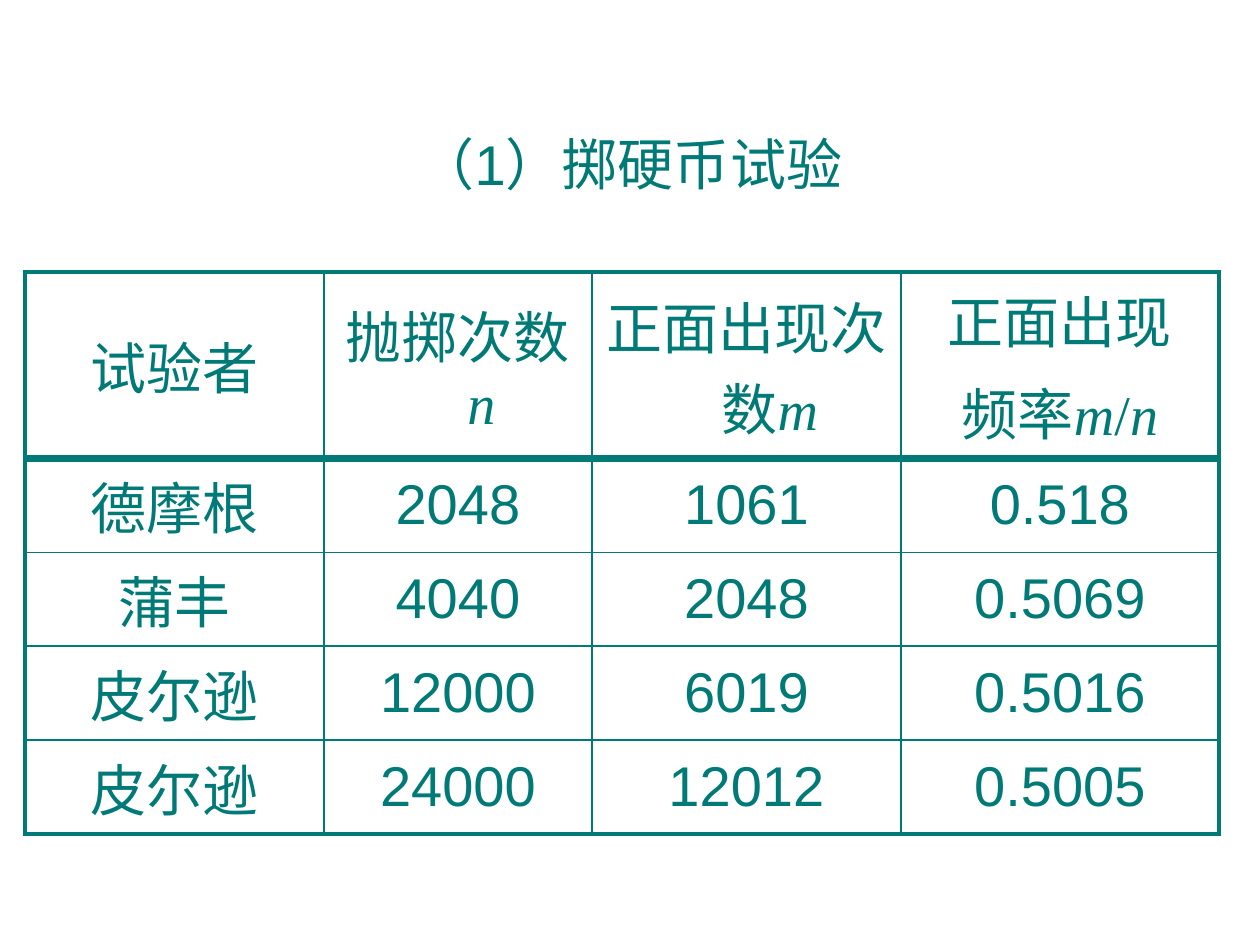
from dataclasses import dataclass

from lxml.etree import SubElement
from pptx import Presentation
from pptx.dml.color import RGBColor
from pptx.enum.text import MSO_ANCHOR as Anchor, PP_ALIGN as Align
from pptx.oxml.ns import qn
from pptx.util import Emu, Pt

PX = 914400 / 126


def px(n):
    return Emu(round(n * PX))


@dataclass(frozen=True)
class Theme:
    teal: str = "007A77"
    size: int = 32
    font: str = "Arial"
    math_font: str = "Times New Roman"
    thin: float = 1
    frame: float = 2.25
    rule: float = 4.5


class SlideBuilder:
    def __init__(self, prs, theme):
        self.theme = theme
        self.s = prs.slides.add_slide(prs.slide_layouts[5])

    def style(self, r, math=False, italic=False):
        t = self.theme
        r.font.name = t.math_font if math else t.font
        r.font.size = Pt(t.size)
        r.font.italic = italic
        r.font.color.rgb = RGBColor.from_string(t.teal)

    def title(self, text, left, top, width, height):
        sp = self.s.shapes.title
        sp.left, sp.top, sp.width, sp.height = map(px, (left, top, width, height))
        tf = sp.text_frame
        tf.text = text
        tf.vertical_anchor = Anchor.MIDDLE
        p = tf.paragraphs[0]
        p.alignment = Align.CENTER
        self.style(p.runs[0])

    def paragraph(self, p, text, first):
        """Letters m and n are set as italic variables, the slash as upright math."""
        p.alignment = Align.CENTER
        pPr = p._p.get_or_add_pPr()
        pPr.set("marL", str(px(47)))
        pPr.set("indent", str(-px(47)))
        if not first:
            before = SubElement(pPr, qn("a:spcBef"))
            SubElement(before, qn("a:spcPct"), val="20000")
        SubElement(pPr, qn("a:buNone"))
        words = text.rstrip("mn/")
        for part in [words, *text[len(words):]]:
            r = p.add_run()
            r.text = part
            self.style(r, math=part in "mn/", italic=part in "mn")

    def borders(self, cell, **widths):
        tcPr = cell._tc.get_or_add_tcPr()
        for side in "LRTB":
            ln = SubElement(tcPr, qn(f"a:ln{side}"), w=str(Pt(widths[side])))
            fill = SubElement(ln, qn("a:solidFill"))
            SubElement(fill, qn("a:srgbClr"), val=self.theme.teal)

    def table(self, rows, left, top, col_widths, row_heights):
        t = self.theme
        n_rows, n_cols = len(rows), len(col_widths)
        frame = self.s.shapes.add_table(
            n_rows, n_cols, px(left), px(top), px(sum(col_widths)), px(sum(row_heights)))
        table = frame.table
        table.first_row = table.horz_banding = False
        for col, width in zip(table.columns, col_widths):
            col.width = px(width)
        for row, height in zip(table.rows, row_heights):
            row.height = px(height)

        # Line weights by grid position: frame outside, heavy rule under the header
        across = [t.frame, t.rule] + [t.thin] * (n_rows - 2) + [t.frame]
        down = [t.frame] + [t.thin] * (n_cols - 1) + [t.frame]
        for i, row in enumerate(rows):
            for j, text in enumerate(row):
                cell = table.cell(i, j)
                self.borders(cell, L=down[j], R=down[j + 1], T=across[i], B=across[i + 1])
                cell.fill.background()
                cell.vertical_anchor = Anchor.MIDDLE
                tf = cell.text_frame
                for k, line in enumerate(text.split("\n")):
                    p = tf.add_paragraph() if k else tf.paragraphs[0]
                    self.paragraph(p, line, first=k == 0)


TRIALS = [
    ("试验者", "抛掷次数n", "正面出现次数m", "正面出现\n频率m/n"),
    ("德摩根", "2048", "1061", "0.518"),
    ("蒲丰", "4040", "2048", "0.5069"),
    ("皮尔逊", "12000", "6019", "0.5016"),
    ("皮尔逊", "24000", "12012", "0.5005"),
]


def main():
    prs = Presentation()
    prs.slide_width, prs.slide_height = px(1260), px(945)
    slide = SlideBuilder(prs, Theme())

    # Heading
    slide.title("（1）掷硬币试验", 42, 84, 1177, 158)

    # Coin toss results
    slide.table(TRIALS, 25, 272, [299, 268, 309, 318], [163] + [82] * 4)

    prs.save("out.pptx")


if __name__ == "__main__":
    main()
